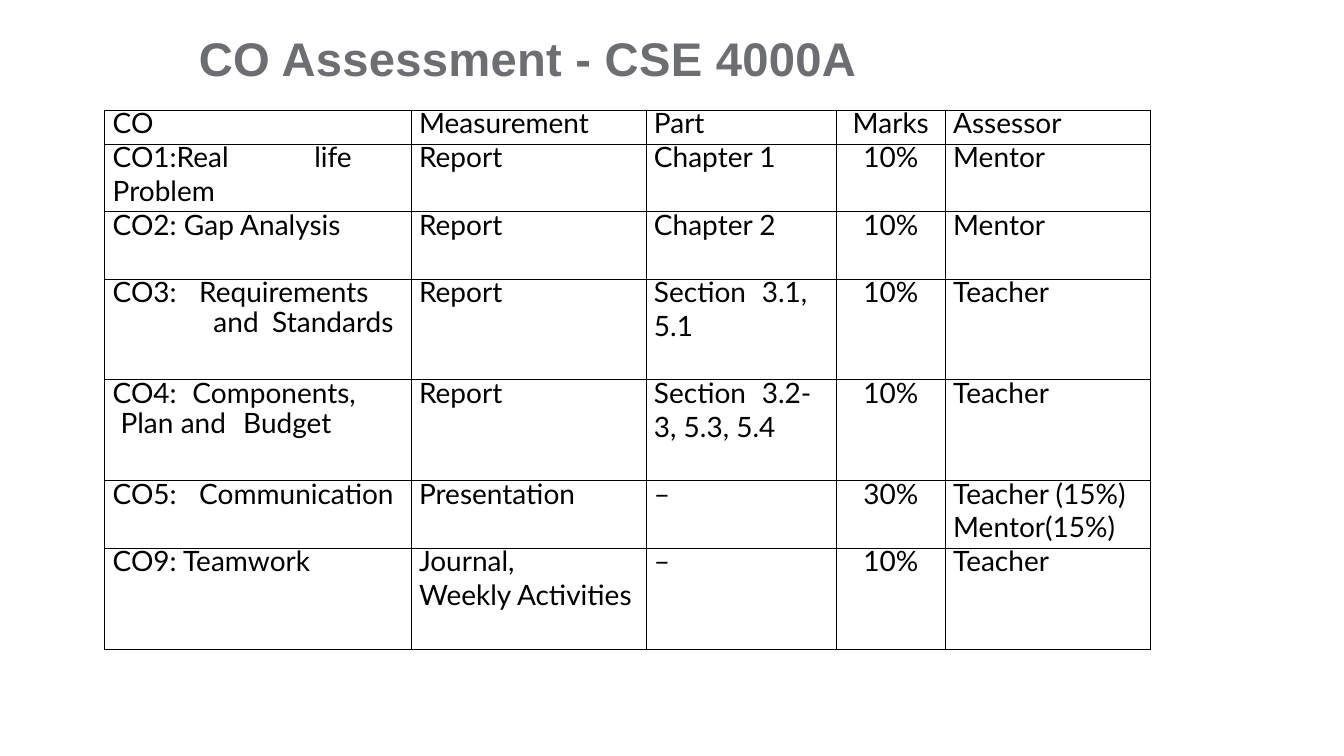
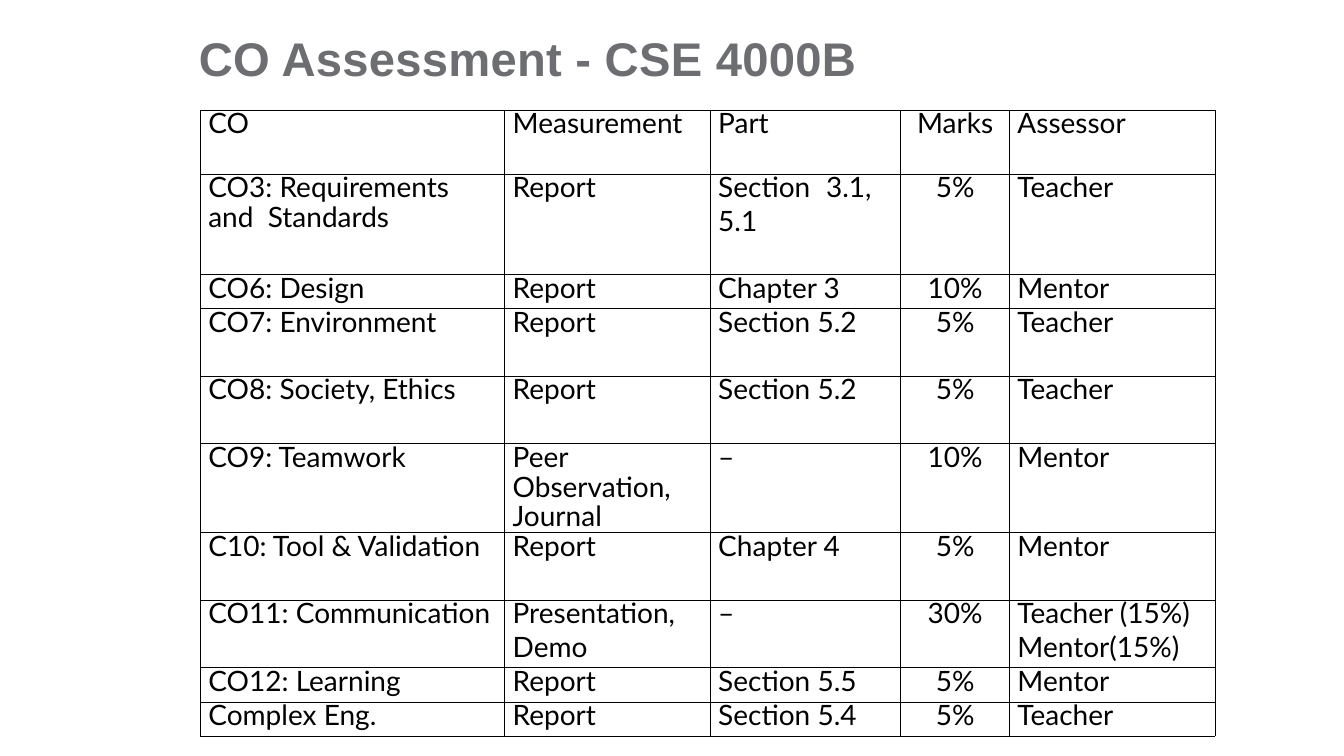
from pptx import Presentation
from pptx.dml.color import RGBColor
from pptx.enum import text
from pptx.oxml import parse_xml
from pptx.oxml.ns import nsdecls
from pptx.util import Cm, Pt

TITLE_GREY, INK = "6D6E71", "000000"
TITLE_FONT, BODY_FONT = "Arial", "Lato"
TABLE_TOP = 2.77
TIGHT_PITCH, LOOSE_PITCH = 21.2, 24
HEADER = ("CO", "Measurement", "Part", "Marks", "Assessor")
MARKS_COLUMN = HEADER.index("Marks")
PART_WIDTHS = (4.8, 2.74, 5.18)
SHARED_ASSESSORS = "Teacher (15%)\nMentor(15%)"

COURSES = [
    {
        "title": "CO Assessment - CSE 4000A",
        "left": 2.64,
        "widths": (7.72, 5.92, *PART_WIDTHS),
        "rows": [
            (0.86, HEADER),
            (1.7, ("CO1:Real\tlife\nProblem", "Report", "Chapter 1", "10%", "Mentor")),
            (1.7, ("CO2: Gap Analysis", "Report", "Chapter 2", "10%", "Mentor")),
            (2.54, ("CO3:\tRequirements\n\tand\tStandards", "Report",
                    "Section\t3.1,\n5.1", "10%", "Teacher")),
            (2.54, ("CO4:\tComponents,\n\tPlan and\tBudget", "Report",
                    "Section\t3.2-\n3, 5.3, 5.4", "10%", "Teacher")),
            (1.7, ("CO5:\tCommunication", "Presentation", "–", "30%", SHARED_ASSESSORS)),
            (2.54, ("CO9: Teamwork", "Journal,\nWeekly Activities", "–", "10%", "Teacher")),
        ],
    },
    {
        "title": "CO Assessment - CSE 4000B",
        "left": 5.05,
        "widths": (7.67, 5.18, *PART_WIDTHS),
        "rows": [
            (1.61, HEADER),
            (2.54, ("CO3: Requirements\nand\tStandards", "Report",
                    "Section\t3.1,\n5.1", "5%", "Teacher")),
            (0.86, ("CO6: Design", "Report", "Chapter 3", "10%", "Mentor")),
            (1.7, ("CO7: Environment", "Report", "Section 5.2", "5%", "Teacher")),
            (1.7, ("CO8: Society, Ethics", "Report", "Section 5.2", "5%", "Teacher")),
            (2.22, ("CO9: Teamwork", "Peer\nObservation,\nJournal", "–", "10%", "Mentor")),
            (1.7, ("C10: Tool & Validation", "Report", "Chapter 4", "5%", "Mentor")),
            (1.7, ("CO11: Communication", "Presentation,\nDemo", "–", "30%", SHARED_ASSESSORS)),
            (0.86, ("CO12: Learning", "Report", "Section 5.5", "5%", "Mentor")),
            (0.86, ("Complex Eng.", "Report", "Section 5.4", "5%", "Teacher")),
        ],
    },
]

TAB_STOPS = {
    "CO1:Real\tlife": (5.08,),
    "CO3:\tRequirements": (2.18,),
    "\tand\tStandards": (2.54, 4.02),
    "CO4:\tComponents,": (2.01,),
    "\tPlan and\tBudget": (0.2, 3.29),
    "CO5:\tCommunication": (2.18,),
    "and\tStandards": (1.5,),
    "Section\t3.1,": (2.72,),
    "Section\t3.2-": (2.72,),
}
TIGHT_LINES = {"\tand\tStandards", "and\tStandards", "\tPlan and\tBudget",
               "Observation,", "Journal"}


def style_font(font, name, size, colour, bold=False):
    font.name, font.size, font.bold = name, Pt(size), bold
    font.color.rgb = RGBColor.from_string(colour)


def set_margins(box, left=0, top=0):
    box.margin_left, box.margin_top = Cm(left), Cm(top)
    box.margin_right = box.margin_bottom = 0


def add_tab_stops(paragraph, stops):
    tabs = "".join(f'<a:tab pos="{Cm(stop)}" algn="l"/>' for stop in stops)
    properties = paragraph._p.get_or_add_pPr()
    properties.append(parse_xml(f'<a:tabLst {nsdecls("a")}>{tabs}</a:tabLst>'))


def add_borders(cell):
    properties = cell._tc.get_or_add_tcPr()
    for position, side in enumerate("LRTB"):
        properties.insert(position, parse_xml(
            f'<a:ln{side} {nsdecls("a")} w="{Pt(0.5)}"><a:solidFill>'
            f'<a:srgbClr val="{INK}"/></a:solidFill></a:ln{side}>'))


def fill_cell(cell, wording, centred):
    set_margins(cell, left=0 if centred else 0.2)
    cell.fill.background()
    add_borders(cell)
    cell.text_frame.text = wording
    for number, paragraph in enumerate(cell.text_frame.paragraphs):
        line = paragraph.text
        tight = number == 0 or line in TIGHT_LINES
        paragraph.line_spacing = Pt(TIGHT_PITCH if tight else LOOSE_PITCH)
        if centred:
            paragraph.alignment = text.PP_ALIGN.CENTER
        if line in TAB_STOPS:
            add_tab_stops(paragraph, TAB_STOPS[line])
        for run in paragraph.runs:
            style_font(run.font, BODY_FONT, 20, INK)


def add_title(slide, wording):
    frame = slide.shapes.add_textbox(Cm(4.93), Cm(0.58), Cm(16.79), Cm(1.52)).text_frame
    frame.word_wrap = True
    set_margins(frame, left=0.08, top=0.16)
    frame.text = wording
    run = frame.paragraphs[0].runs[0]
    style_font(run.font, TITLE_FONT, 33.7, TITLE_GREY, bold=True)
    run.font._element.set("spc", "20")


def add_assessment_table(slide, course):
    rows, widths = course["rows"], course["widths"]
    table = slide.shapes.add_table(
        len(rows), len(widths), Cm(course["left"]), Cm(TABLE_TOP),
        Cm(sum(widths)), Cm(sum(height for height, _ in rows))).table
    table.first_row = table.horz_banding = False
    for column, width in zip(table.columns, widths):
        column.width = Cm(width)
    for row, (height, entries) in zip(table.rows, rows):
        row.height = Cm(height)
        for index, (cell, wording) in enumerate(zip(row.cells, entries)):
            fill_cell(cell, wording, centred=index == MARKS_COLUMN)


def main():
    deck = Presentation()
    deck.slide_width, deck.slide_height = Cm(33.87), Cm(19.05)
    for course in COURSES:
        slide = deck.slides.add_slide(deck.slide_layouts[6])
        add_title(slide, course["title"])
        add_assessment_table(slide, course)
    deck.save("out.pptx")


if __name__ == "__main__":
    main()
